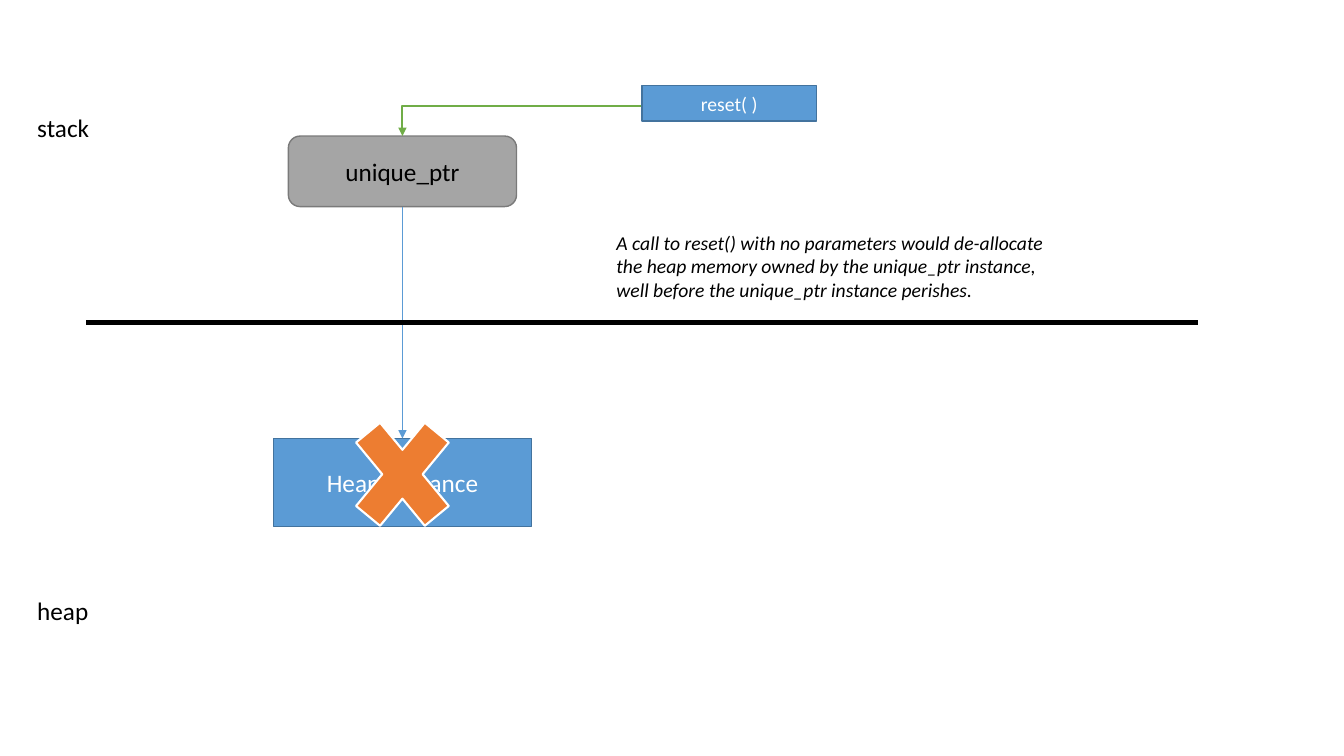
from dataclasses import dataclass

from lxml.etree import SubElement
from pptx import Presentation
from pptx.dml.color import RGBColor
from pptx.enum.shapes import MSO_CONNECTOR as Link, MSO_SHAPE as Shape
from pptx.enum.text import MSO_ANCHOR as Anchor, PP_ALIGN as Align
from pptx.oxml.ns import qn
from pptx.util import Pt


@dataclass(frozen=True)
class Theme:
    font: str = "Calibri"
    large: int = 18
    small: int = 14
    black: str = "000000"
    white: str = "FFFFFF"
    blue: str = "5B9BD5"
    blue_edge: str = "43739E"
    grey: str = "A5A5A5"
    grey_edge: str = "7A7A7A"
    green: str = "70AD47"
    orange: str = "ED7D31"


THEME = Theme()
POINTER_AXIS = 287.5


def rgb(value):
    return RGBColor.from_string(value)


def write(frame, text, size, color, italic=False, align=Align.LEFT):
    frame.word_wrap = True
    paragraph = frame.paragraphs[0]
    paragraph.alignment = align
    run = paragraph.add_run()
    run.text = text
    run.font.name = THEME.font
    run.font.size = Pt(size)
    run.font.italic = italic
    run.font.color.rgb = rgb(color)


def add_block(slide, kind, center, top, width, height, fill, edge, edge_width=1):
    block = slide.shapes.add_shape(
        kind, Pt(center - width / 2), Pt(top), Pt(width), Pt(height))
    block.shadow.inherit = False
    block.fill.solid()
    block.fill.fore_color.rgb = rgb(fill)
    block.line.color.rgb = rgb(edge)
    block.line.width = Pt(edge_width)
    return block


def add_label(block, text, size, color):
    block.text_frame.vertical_anchor = Anchor.MIDDLE
    write(block.text_frame, text, size, color, align=Align.CENTER)


def add_note(slide, text, left, top, width, height, size, italic=False):
    note = slide.shapes.add_textbox(Pt(left), Pt(top), Pt(width), Pt(height))
    write(note.text_frame, text, size, THEME.black, italic)


def add_line(slide, kind, start, end, color, width, arrow=False):
    line = slide.shapes.add_connector(kind, *map(Pt, (*start, *end)))
    line.line.color.rgb = rgb(color)
    line.line.width = Pt(width)
    properties = line._element.spPr
    if arrow:
        SubElement(properties.find(qn("a:ln")), qn("a:tailEnd"), type="triangle")
    SubElement(properties, qn("a:effectLst"))
    return line


def main():
    deck = Presentation()
    deck.slide_width, deck.slide_height = Pt(960), Pt(540)
    slide = deck.slides.add_slide(deck.slide_layouts[6])

    unique_ptr = add_block(slide, Shape.ROUNDED_RECTANGLE, POINTER_AXIS, 97.2,
                           163, 50.4, THEME.grey, THEME.grey_edge)
    add_label(unique_ptr, "unique_ptr", THEME.large, THEME.black)
    heap_instance = add_block(slide, Shape.RECTANGLE, POINTER_AXIS, 313.2,
                              184.6, 62.8, THEME.blue, THEME.blue_edge)
    add_label(heap_instance, "Heap_instance", THEME.large, THEME.white)

    ownership = add_line(slide, Link.STRAIGHT, (POINTER_AXIS, 147.6),
                         (POINTER_AXIS, 313.2), THEME.blue, 0.5, arrow=True)
    ownership.begin_connect(unique_ptr, 2)
    ownership.end_connect(heap_instance, 0)
    add_line(slide, Link.STRAIGHT, (61.5, 230.4), (855.5, 230.4), THEME.black, 3)

    for region, top in (("stack", 77), ("heap", 422)):
        add_note(slide, region, 19.5, top, 65, 29, THEME.large)
    add_note(slide, "A call to reset() with no parameters would de-allocate "
             "the heap memory owned by the unique_ptr instance, "
             "well before the unique_ptr instance perishes.",
             433.2, 161.3, 331, 58.2, THEME.small, italic=True)

    reset_arrow = add_line(slide, Link.ELBOW, (458.6, 75.6), (POINTER_AXIS, 97.2),
                           THEME.green, 1.5, arrow=True)
    reset_arrow._element.spPr.find(qn("a:prstGeom")).set("prst", "bentConnector2")
    reset_call = add_block(slide, Shape.RECTANGLE, 520.9, 61.2, 124.6, 25.2,
                           THEME.blue, THEME.blue_edge)
    add_label(reset_call, "reset( )", THEME.small, THEME.white)
    add_block(slide, Shape.MATH_MULTIPLY, POINTER_AXIS, 281.5, 94.5, 114.5,
              THEME.orange, THEME.white, 1.5)

    deck.save("out.pptx")


if __name__ == "__main__":
    main()
